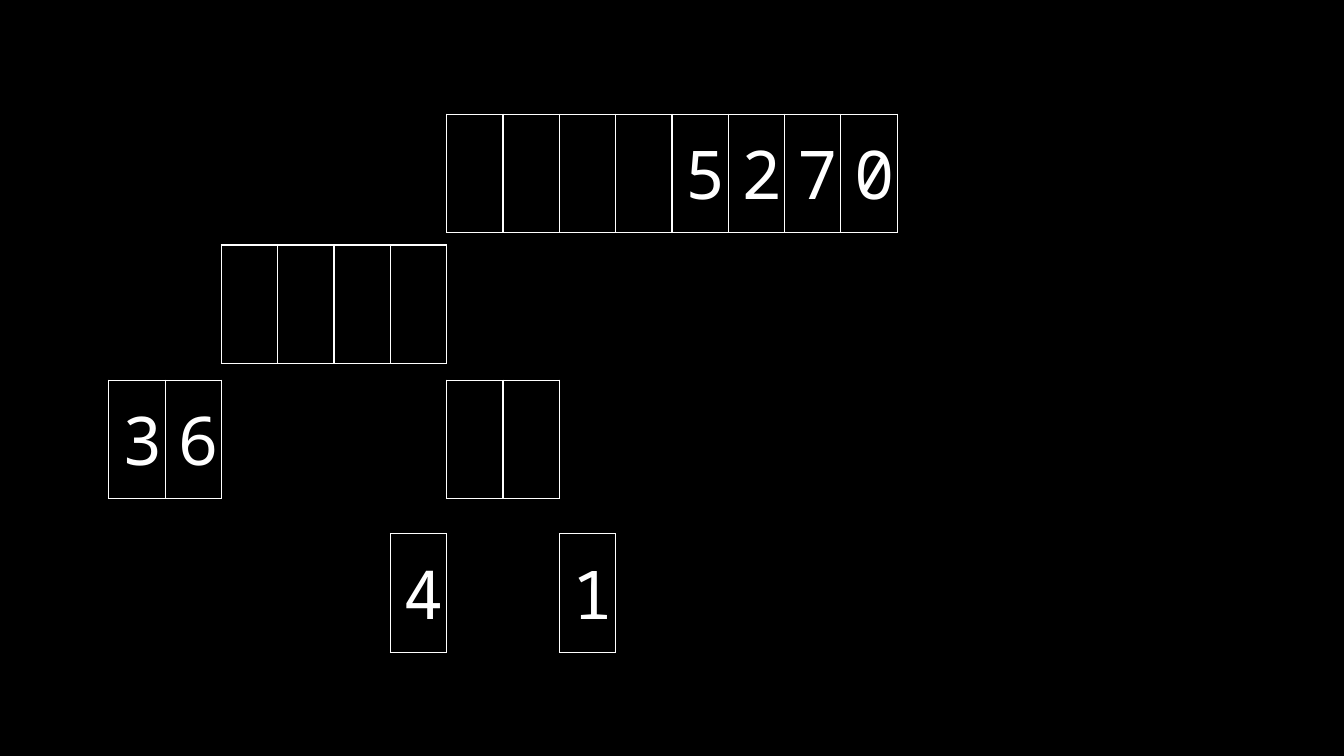
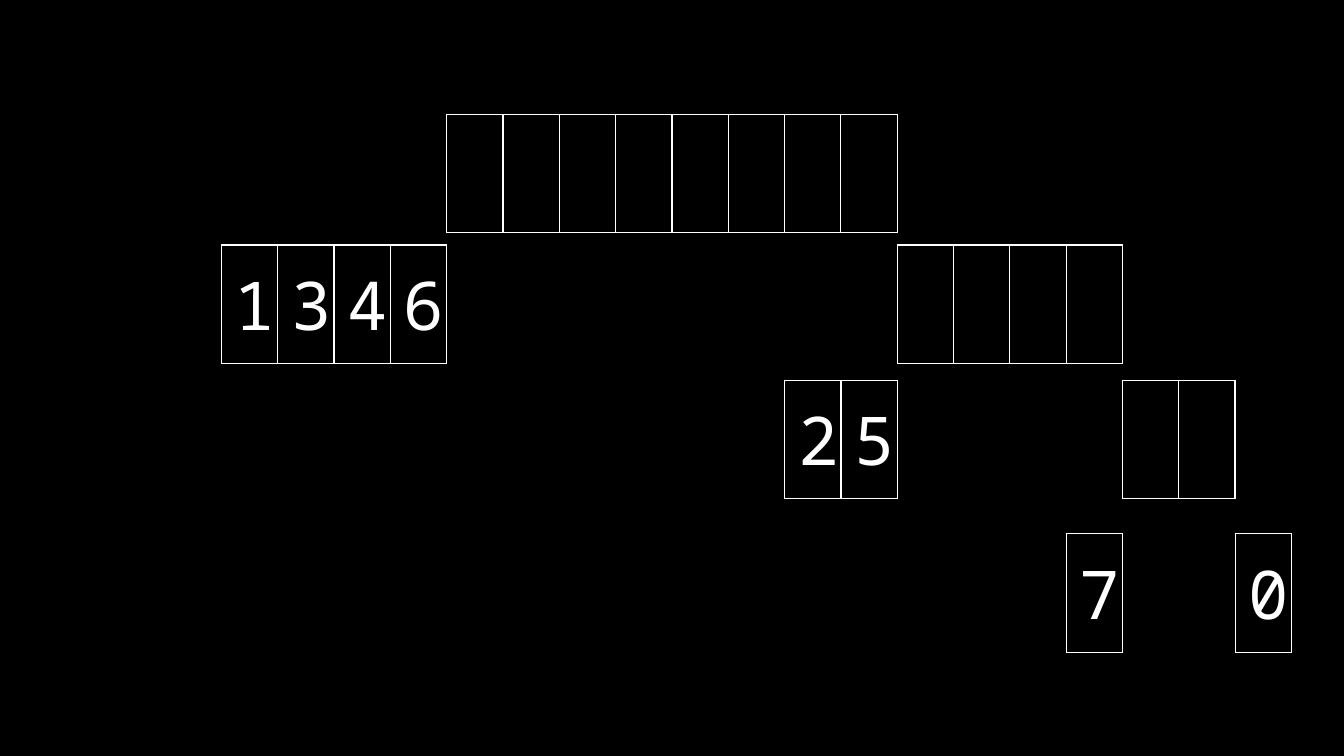
from dataclasses import dataclass

from lxml.etree import SubElement
from pptx import Presentation
from pptx.dml.color import RGBColor
from pptx.enum.text import MSO_ANCHOR, PP_ALIGN
from pptx.oxml.ns import qn
from pptx.slide import Slide
from pptx.table import _Cell
from pptx.util import Inches, Pt

"""Draw the array splits of a merge sort, one frame per slide."""

WIDTH, HEIGHT = Inches(10), Inches(5.625)
GRID_LEFT, COLUMN = 0.081 * WIDTH, 0.0419 * WIDTH
LEVEL_TOPS = [share * HEIGHT for share in (0.151, 0.324, 0.503, 0.706)]
ROW_HEIGHT = Inches(0.88)
BACKGROUND, INK = "000000", "FFFFFF"
BORDER_SIDES = ("a:lnL", "a:lnR", "a:lnT", "a:lnB")
INSET = Inches(0.1)
CELL_FORMAT = {
    "margin_left": INSET,
    "margin_right": INSET,
    "margin_top": INSET,
    "margin_bottom": INSET,
    "vertical_anchor": MSO_ANCHOR.MIDDLE,
}
DIGIT_FORMAT = {"name": "Noto Sans Mono", "size": Pt(36)}
PLAIN_TABLE = {"first_row": False, "horz_banding": False}


@dataclass(frozen=True)
class Part:
    """A run of array cells; a space in digits is an empty cell."""

    level: int
    column: int
    digits: str


FRAMES = [
    [
        Part(0, 6, "    5270"),
        Part(1, 2, "    "),
        Part(2, 0, "36"),
        Part(2, 6, "  "),
        Part(3, 5, "4"),
        Part(3, 8, "1"),
    ],
    [
        Part(0, 6, "        "),
        Part(1, 2, "1346"),
        Part(1, 14, "    "),
        Part(2, 12, "25"),
        Part(2, 18, "  "),
        Part(3, 17, "7"),
        Part(3, 20, "0"),
    ],
]


def color(value: str) -> RGBColor:
    """Turn a hex string into a colour."""
    return RGBColor.from_string(value)


def apply_format(target: object, values: dict) -> None:
    """Set each named attribute on the target."""
    for name, value in values.items():
        setattr(target, name, value)


def outline(cell: _Cell) -> None:
    """Give a cell thin borders and no fill."""
    properties = cell._tc.get_or_add_tcPr()
    for side in BORDER_SIDES:
        border = SubElement(properties, qn(side), w=str(Pt(0.75)))
        fill = SubElement(border, qn("a:solidFill"))
        SubElement(fill, qn("a:srgbClr"), val=INK)
    cell.fill.background()


def write_digit(cell: _Cell, digit: str) -> None:
    """Put one centred digit in a cell."""
    paragraph = cell.text_frame.paragraphs[0]
    paragraph.alignment = PP_ALIGN.CENTER
    run = paragraph.add_run()
    run.text = digit
    apply_format(run.font, DIGIT_FORMAT)
    run.font.color.rgb = color(INK)


def draw_part(slide: Slide, part: Part) -> None:
    """Draw one part of the array as a single-row table."""
    count = len(part.digits)
    left = GRID_LEFT + part.column * COLUMN
    array = slide.shapes.add_table(
        1, count, int(left), int(LEVEL_TOPS[part.level]), int(count * COLUMN), ROW_HEIGHT
    ).table
    apply_format(array, PLAIN_TABLE)
    for cell, digit in zip(array.iter_cells(), part.digits):
        apply_format(cell, CELL_FORMAT)
        outline(cell)
        if digit.strip():
            write_digit(cell, digit)


def main() -> None:
    """Build and save the deck."""
    deck = Presentation()
    apply_format(deck, {"slide_width": WIDTH, "slide_height": HEIGHT})
    for frame in FRAMES:
        slide = deck.slides.add_slide(deck.slide_layouts[6])
        slide.background.fill.solid()
        slide.background.fill.fore_color.rgb = color(BACKGROUND)
        for part in frame:
            draw_part(slide, part)
    deck.save("out.pptx")


if __name__ == "__main__":
    main()
